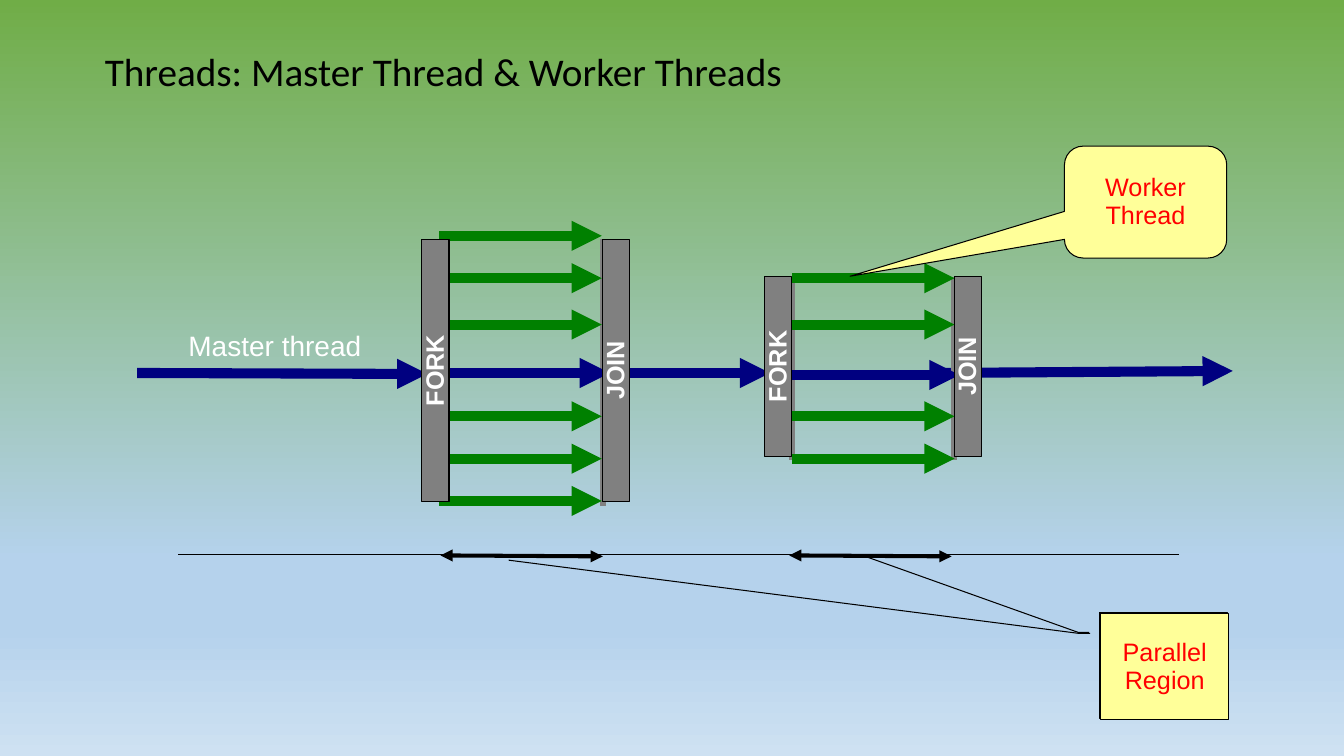
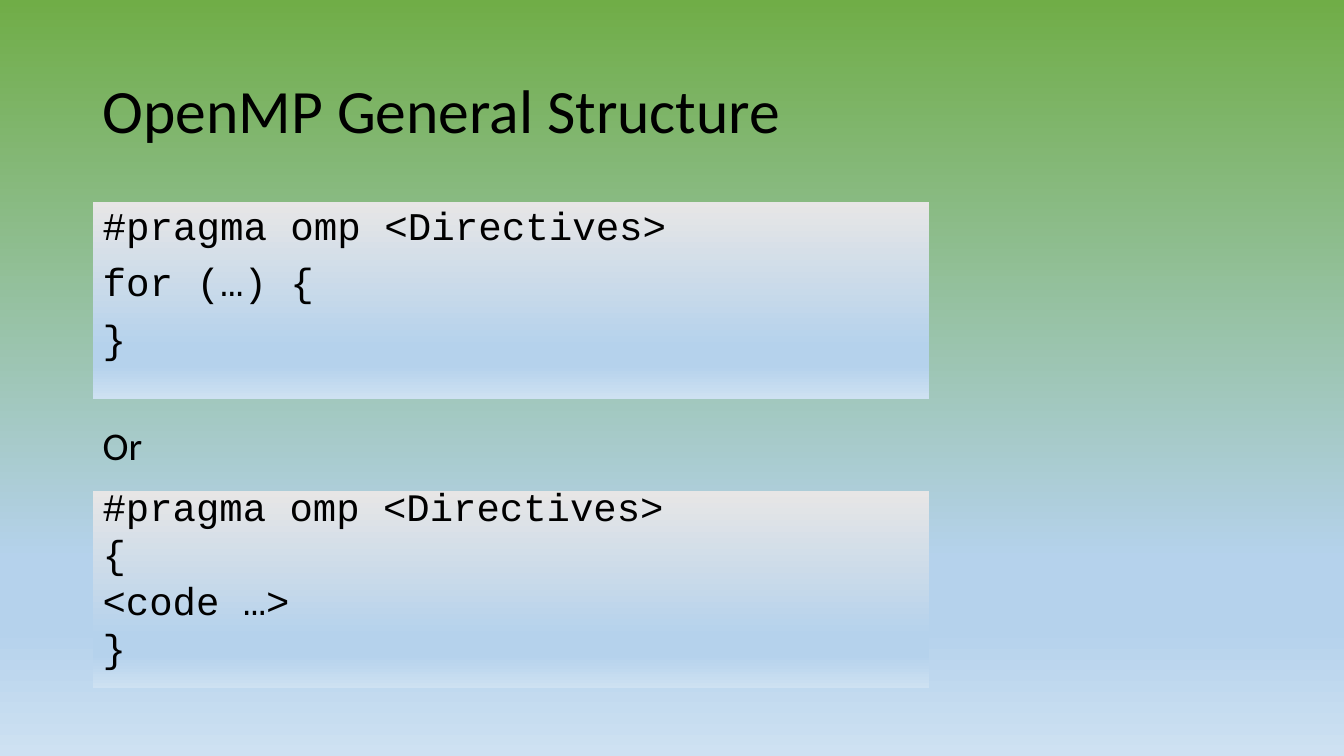
from dataclasses import dataclass
from typing import Any, Optional, Sequence

from lxml import etree
from pptx import Presentation
from pptx import util as u
from pptx.dml.color import RGBColor
from pptx.enum import shapes, text
from pptx.oxml import ns

CELL = 0.1  # inches; every position below counts cells of this square grid
COLUMNS, ROWS = 133.33, 75

BLACK, WHITE, RED = "000000", "FFFFFF", "FF0000"
NAVY, GREEN, GRAY, YELLOW = "000080", "008000", "808080", "FFFF99"
GRASS, MIST, SKY, HAZE = "70AD47", "E7E6E6", "B5D2EC", "CEE1F2"
THICK, MEDIUM, SPAN, HAIR = 7.2, 4.31, 2.89, 0.75


@dataclass(frozen=True)
class Box:
    left: float
    top: float
    width: float
    height: float

    def lengths(self) -> tuple:
        return tuple(cells(n) for n in (self.left, self.top, self.width, self.height))


@dataclass(frozen=True)
class TextStyle:
    font: str
    size: float
    color: str = BLACK
    bold: bool = False
    align: Any = text.PP_ALIGN.LEFT
    spacing: float = 0.93
    before: float = 0
    anchor: Any = text.MSO_ANCHOR.TOP
    wrap: bool = True
    inset: tuple = (1, 0.5)


@dataclass(frozen=True)
class Line:
    start: tuple
    end: tuple
    color: str
    weight: float
    head: bool = False
    tail: bool = False


@dataclass(frozen=True)
class Region:
    """A fork, its parallel threads and the join that ends them."""
    fork: float
    join: float
    middle: float
    length: float
    workers: float
    worker_rows: Sequence[float]
    master: tuple
    master_row: float
    edges: Sequence[float]
    span: float


CENTER, MIDDLE = text.PP_ALIGN.CENTER, text.MSO_ANCHOR.MIDDLE
LABEL = TextStyle("Arial", 18, RED, align=CENTER, anchor=MIDDLE)
BAR = TextStyle("Arial", 18, WHITE, True, CENTER, anchor=MIDDLE, wrap=False)
MASTER = TextStyle("Arial", 20, WHITE, wrap=False)
SMALL_TITLE = TextStyle("Calibri", 28, inset=(1.2, 0))
TITLE = TextStyle("Calibri", 44, spacing=0.9, anchor=MIDDLE)
PLAIN = TextStyle("Calibri", 28, spacing=1, wrap=False)
CODE = TextStyle("Courier New", 28, align=text.PP_ALIGN.JUSTIFY, spacing=0.9, before=10)
TIGHT_CODE = TextStyle("Courier New", 27.8, align=text.PP_ALIGN.JUSTIFY,
                       spacing=0.7, before=10)

LEFT = 9.2
BAR_WIDTH = 2.7
THREAD = 16.1
INNER_ROWS = (27.6, 32.2, 41.3, 45.5)
REGIONS = (
    Region(43.2, 61.1, 36.75, 26, 43.6, (23.4, *INNER_ROWS, 49.7),
           (41.8, 60.5), 37, (59.8,), 43.7),
    Region(77.2, 96, 36.35, 17.8, 78.6, INNER_ROWS,
           (76.4, 95.2), 37.2, (78.6, 94.6), 78.3),
)
MASTER_LINES = ((13.6, 37, 42.4, 37.1), (57.6, 37, 76.4, 37), (93, 37, 122.3, 36.8))


def cells(count: float) -> u.Length:
    return u.Inches(count * CELL)


def rgb(value: str) -> RGBColor:
    return RGBColor.from_string(value)


def paint_gradient(fill: Any, element: Any, first: str) -> None:
    """Fill downwards from the first colour to the shared sky tones."""
    fill.gradient()
    fill.gradient_angle = 270
    stops = element.find(".//" + ns.qn("a:gsLst"))
    for stop in list(stops):
        stops.remove(stop)
    for percent, color in ((0, first), (74, SKY), (83, SKY), (100, HAZE)):
        stop = etree.SubElement(stops, ns.qn("a:gs"), pos=str(percent * 1000))
        etree.SubElement(stop, ns.qn("a:srgbClr"), val=color)


def write(shape: Any, words: str, style: TextStyle) -> None:
    frame = shape.text_frame
    frame.word_wrap = style.wrap
    frame.vertical_anchor = style.anchor
    frame.margin_left = frame.margin_right = cells(style.inset[0])
    frame.margin_top = frame.margin_bottom = cells(style.inset[1])
    frame.text = words
    for para in frame.paragraphs:
        para.alignment = style.align
        para.line_spacing = style.spacing
        para.space_before = u.Pt(style.before)
        for span in para.runs:
            span.font.name = style.font
            span.font.size = u.Pt(style.size)
            span.font.bold = style.bold
            span.font.color.rgb = rgb(style.color)


def add_text(page: Any, box: Box, words: str, style: TextStyle) -> None:
    write(page.shapes.add_textbox(*box.lengths()), words, style)


def add_shape(page: Any, kind: Any, box: Box, fill: Optional[str] = None,
              adjustments: Sequence[float] = ()) -> Any:
    """Add an outlined shape, or a borderless misty one when no fill is given."""
    shape = page.shapes.add_shape(kind, *box.lengths())
    shape.shadow.inherit = False
    for index, value in enumerate(adjustments):
        shape.adjustments[index] = value
    if fill is None:
        paint_gradient(shape.fill, shape.element, MIST)
        shape.line.fill.background()
    else:
        shape.fill.solid()
        shape.fill.fore_color.rgb = rgb(fill)
        shape.line.color.rgb = rgb(BLACK)
        shape.line.width = u.Pt(HAIR)
    return shape


def add_line(page: Any, line: Line) -> None:
    ends = [cells(n) for n in (*line.start, *line.end)]
    connector = page.shapes.add_connector(shapes.MSO_CONNECTOR.STRAIGHT, *ends)
    connector.line.color.rgb = rgb(line.color)
    connector.line.width = u.Pt(line.weight)
    outline = connector.line.fill and connector.element.find(".//" + ns.qn("a:ln"))
    for tag, wanted in (("a:headEnd", line.head), ("a:tailEnd", line.tail)):
        if wanted:
            etree.SubElement(outline, ns.qn(tag), type="triangle")
    etree.SubElement(connector.element.spPr, ns.qn("a:effectLst"))


def add_threads(page: Any, region: Region) -> None:
    for edge in region.edges:
        half = region.length / 2
        add_line(page, Line((edge, region.middle - half), (edge, region.middle + half + 0.4),
                            GRAY, MEDIUM))
    start, end = region.master
    row = region.master_row
    add_line(page, Line((start, row), (end, row), NAVY, THICK, tail=True))
    for row in region.worker_rows:
        add_line(page, Line((region.workers, row), (region.workers + THREAD, row),
                            GREEN, THICK, tail=True))
    add_line(page, Line((region.span, 55.1), (region.span + THREAD, 55.2),
                        BLACK, SPAN, head=True, tail=True))


def add_bars(page: Any, region: Region) -> None:
    for column, words in ((region.fork, "FORK"), (region.join, "JOIN")):
        box = Box(column - region.length / 2, region.middle - BAR_WIDTH / 2,
                  region.length, BAR_WIDTH)
        bar = add_shape(page, shapes.MSO_SHAPE.RECTANGLE, box, GRAY)
        bar.rotation = 270
        write(bar, words, BAR)


def add_region_callout(page: Any, box: Box, fill: str, target: tuple) -> Any:
    return add_shape(page, shapes.MSO_SHAPE.LINE_CALLOUT_2, box, fill,
                     (0.185, -0.083, 0.185, -0.167, *target))


def build_threads(page: Any) -> None:
    add_text(page, Box(LEFT, 5.1, 113.2, 4.4),
             "Threads: Master Thread & Worker Threads", SMALL_TITLE)
    add_region_callout(page, Box(109.1, 60.8, 12.7, 10.5), GRAY, (-0.532, -1.827))
    for left, top, right, bottom in MASTER_LINES:
        add_line(page, Line((left, top), (right, bottom), NAVY, THICK, tail=True))
    for region in REGIONS:
        add_threads(page, region)
    add_text(page, Box(17.7, 32.4, 20.5, 3.6), "Master thread", MASTER)
    worker = add_shape(page, shapes.MSO_SHAPE.ROUNDED_RECTANGULAR_CALLOUT,
                       Box(105.6, 14.5, 16.1, 11.1), YELLOW, (-1.821, 0.663, 0.167))
    write(worker, "Worker\nThread", LABEL)
    add_line(page, Line((17.7, 55), (117, 55), BLACK, HAIR))
    parallel = add_region_callout(page, Box(109.2, 60.9, 12.7, 10.5), YELLOW,
                                  (-0.508, -4.625))
    write(parallel, "Parallel\nRegion", LABEL)
    for region in REGIONS:
        add_bars(page, region)


def build_structure(page: Any) -> None:
    add_text(page, Box(LEFT, 4, 115, 14.5), "OpenMP General Structure", TITLE)
    add_text(page, Box(LEFT, 41.3, 6, 5.7), "Or", PLAIN)
    for top, words, style in (
            (20, "#pragma omp <Directives>\nfor (…) {\n}", CODE),
            (48.7, "#pragma omp <Directives>\n{\n<code …>\n}", TIGHT_CODE)):
        panel = add_shape(page, shapes.MSO_SHAPE.RECTANGLE, Box(LEFT, top, 83, 19.6))
        write(panel, words, style)


def main() -> None:
    deck = Presentation()
    deck.slide_width, deck.slide_height = cells(COLUMNS), cells(ROWS)
    master = deck.slide_master
    paint_gradient(master.background.fill, master.element, GRASS)
    for build in (build_threads, build_structure):
        build(deck.slides.add_slide(deck.slide_layouts[6]))
    deck.save("out.pptx")


if __name__ == "__main__":
    main()
